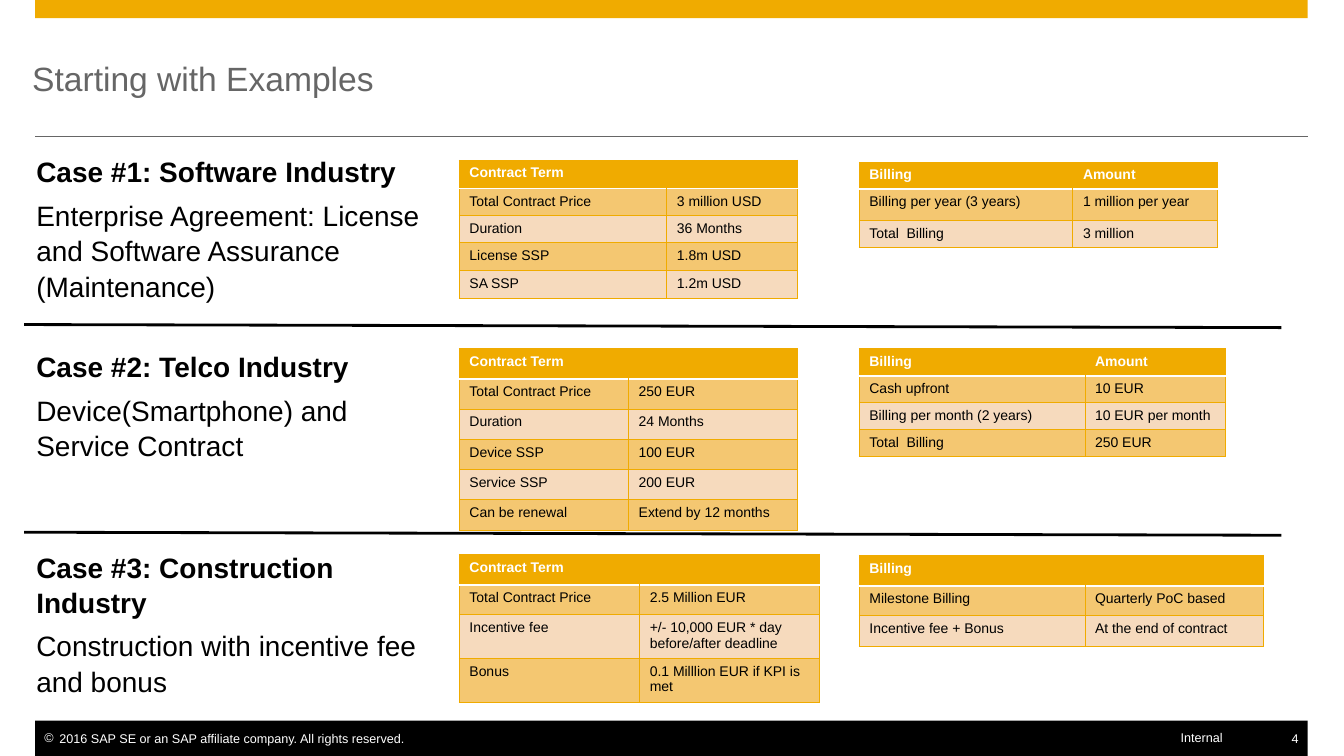
import pptx
import pptx.util
import pptx.dml.color
import pptx.enum.shapes
import pptx.enum.text
import pptx.oxml.ns
import lxml.etree

Inches = pptx.util.Inches
Pt = pptx.util.Pt
RGB = pptx.dml.color.RGBColor
ALIGN = pptx.enum.text.PP_ALIGN
ANCHOR = pptx.enum.text.MSO_ANCHOR
qn = pptx.oxml.ns.qn

GOLD = RGB(0xF0, 0xAB, 0x00)
SAND = RGB(0xF4, 0xC7, 0x71)
CREAM = RGB(0xF6, 0xDA, 0xBD)
GREY = RGB(0x66, 0x66, 0x66)
BLACK = RGB(0, 0, 0)
WHITE = RGB(0xFF, 0xFF, 0xFF)

LEFT, WIDE = 0.35, 12.63

CASES = [
    dict(top=1.52, head="Case #1: Software Industry",
         note="Enterprise Agreement: License and Software Assurance (Maintenance)",
         terms=(1.59, [2.06, 1.3], [0.28, 0.26, 0.26, 0.28, 0.28], [
             ("Contract Term", ""), ("Total Contract Price", "3 million USD"),
             ("Duration", "36 Months"), ("License SSP", "1.8m USD"),
             ("SA SSP", "1.2m USD")]),
         bills=(1.61, [2.12, 1.44], [0.26, 0.31, 0.26], [
             ("Billing", "Amount"),
             ("Billing per year (3 years)", "1 million per year"),
             ("Total  Billing", "3 million")])),
    dict(top=3.45, head="Case #2: Telco Industry",
         note="Device(Smartphone) and Service Contract",
         terms=(3.46, [1.68, 1.68], [0.3] * 6, [
             ("Contract Term", ""), ("Total Contract Price", "250 EUR"),
             ("Duration", "24 Months"), ("Device SSP", "100 EUR"),
             ("Service SSP", "200 EUR"),
             ("Can be renewal", "Extend by 12 months")]),
         bills=(3.46, [2.24, 1.39], [0.26, 0.26, 0.27, 0.26], [
             ("Billing", "Amount"), ("Cash upfront", "10 EUR"),
             ("Billing per month (2 years)", "10 EUR per month"),
             ("Total  Billing", "250 EUR")])),
    dict(top=5.44, head="Case #3: Construction Industry",
         note="Construction with incentive fee and bonus",
         terms=(5.5, [1.79, 1.78], [0.3, 0.3, 0.41, 0.41], [
             ("Contract Term", ""), ("Total Contract Price", "2.5 Million EUR"),
             ("Incentive fee", "+/- 10,000 EUR * day before/after deadline"),
             ("Bonus", "0.1 Milllion EUR if KPI is met")]),
         bills=(5.51, [2.24, 1.77], [0.3] * 3, [
             ("Billing", ""), ("Milestone Billing", "Quarterly PoC based"),
             ("Incentive fee + Bonus", "At the end of contract")])),
]


def style(para, size, color, bold=False):
    for run in para.runs:
        run.font.name = "Arial"
        run.font.size = Pt(size)
        run.font.bold = bold
        run.font.color.rgb = color


def add_bar(slide, x, y, w, h, color):
    bar = slide.shapes.add_shape(
        pptx.enum.shapes.MSO_SHAPE.RECTANGLE,
        Inches(x), Inches(y), Inches(w), Inches(h))
    bar.shadow.inherit = False
    bar.fill.solid()
    bar.fill.fore_color.rgb = color
    bar.line.fill.background()


def add_rule(slide, x1, y1, x2, y2, color, width):
    rule = slide.shapes.add_connector(
        pptx.enum.shapes.MSO_CONNECTOR.STRAIGHT,
        Inches(x1), Inches(y1), Inches(x2), Inches(y2))
    rule.line.color.rgb = color
    rule.line.width = Pt(width)
    lxml.etree.SubElement(rule._element.spPr, qn("a:effectLst"))


def add_text(slide, x, y, w, h, text, size, color, anchor=ANCHOR.TOP):
    box = slide.shapes.add_textbox(Inches(x), Inches(y), Inches(w), Inches(h))
    frame = box.text_frame
    frame.word_wrap = True
    frame.vertical_anchor = anchor
    frame.margin_left = frame.margin_right = 0
    frame.margin_top = frame.margin_bottom = 0
    frame.text = text
    for para in frame.paragraphs:
        style(para, size, color)
    return frame


def add_edge(cell, side, color, width):
    edge = lxml.etree.SubElement(
        cell._tc.get_or_add_tcPr(), qn("a:" + side), w=str(Pt(width)))
    if color is None:
        lxml.etree.SubElement(edge, qn("a:noFill"))
    else:
        fill = lxml.etree.SubElement(edge, qn("a:solidFill"))
        lxml.etree.SubElement(fill, qn("a:srgbClr"), val=str(color))


def add_grid(slide, x, y, cols, highs, rows):
    grid = slide.shapes.add_table(
        len(rows), len(cols), Inches(x), Inches(y),
        Inches(sum(cols)), Inches(sum(highs))).table
    grid.horz_banding = False
    for col, width in zip(grid.columns, cols):
        col.width = Inches(width)
    for r, (high, row) in enumerate(zip(highs, rows)):
        grid.rows[r].height = Inches(high)
        for c, text in enumerate(row):
            cell = grid.cell(r, c)
            para = cell.text_frame.paragraphs[0]
            para.text = text
            para.font.size = Pt(10)
            style(para, 10, BLACK if r else WHITE, r == 0)
            inner = GOLD if r else None
            add_edge(cell, "lnL", inner if c else GOLD, 0.79)
            add_edge(cell, "lnR", GOLD if c else inner, 0.79)
            add_edge(cell, "lnT", WHITE if r == 1 else GOLD, 1.5 if r == 1 else 0.79)
            add_edge(cell, "lnB", GOLD if r else WHITE, 0.79 if r else 1.5)
            cell.fill.solid()
            cell.fill.fore_color.rgb = (SAND if r % 2 else CREAM) if r else GOLD


def add_case(slide, x, y, case):
    frame = add_text(slide, x, y, 3.89, 1.5, case["head"], 20, BLACK)
    note = frame.add_paragraph()
    note.text = case["note"]
    note.space_before = Pt(6)
    style(note, 20, BLACK)
    style(frame.paragraphs[0], 20, BLACK, True)
    for para in frame.paragraphs:
        para.line_spacing = 1.05
    add_grid(slide, x + 4.2, *case["terms"])
    add_grid(slide, x + 8.17, *case["bills"])


def add_header(slide, x, y, w):
    add_bar(slide, x, y, w, 0.18, GOLD)
    add_text(slide, x - 0.03, y + 0.36, w, 0.83, "Starting with Examples",
             24, GREY, ANCHOR.MIDDLE)
    add_rule(slide, x, y + 1.35, x + w, y + 1.35, GREY, 0.5)


def add_footer(slide, x, y, w):
    add_bar(slide, x, y, w, 0.35, BLACK)
    claim = add_text(slide, x + 0.09, y + 0.1, 4, 0.15,
                     "2016 SAP SE or an SAP affiliate company. All rights reserved.",
                     9, WHITE)
    props = claim.paragraphs[0]._p.get_or_add_pPr()
    props.set("marL", str(Inches(0.15)))
    props.set("indent", str(-Inches(0.15)))
    tint = lxml.etree.SubElement(props, qn("a:buClr"))
    lxml.etree.SubElement(tint, qn("a:srgbClr"), val=str(WHITE))
    lxml.etree.SubElement(props, qn("a:buFont"), typeface="Arial")
    lxml.etree.SubElement(props, qn("a:buChar"), char="©")
    add_text(slide, x + 11.37, y + 0.09, 0.6, 0.15, "Internal", 9, WHITE)
    page = add_text(slide, x + w - 0.25, y + 0.1, 0.16, 0.15, "4", 9, WHITE)
    page.paragraphs[0].alignment = ALIGN.RIGHT


def main():
    deck = pptx.Presentation()
    deck.slide_width = Inches(13.34)
    deck.slide_height = Inches(7.5)
    slide = deck.slides.add_slide(deck.slide_layouts[6])
    add_header(slide, LEFT, 0, WIDE)
    add_footer(slide, LEFT, 7.15, WIDE)
    for case in CASES:
        add_case(slide, LEFT + 0.01, case["top"], case)
    for y in (3.22, 5.28):
        add_rule(slide, 0.24, y, 12.72, y + 0.03, BLACK, 2)
    deck.save("out.pptx")


if __name__ == "__main__":
    main()
